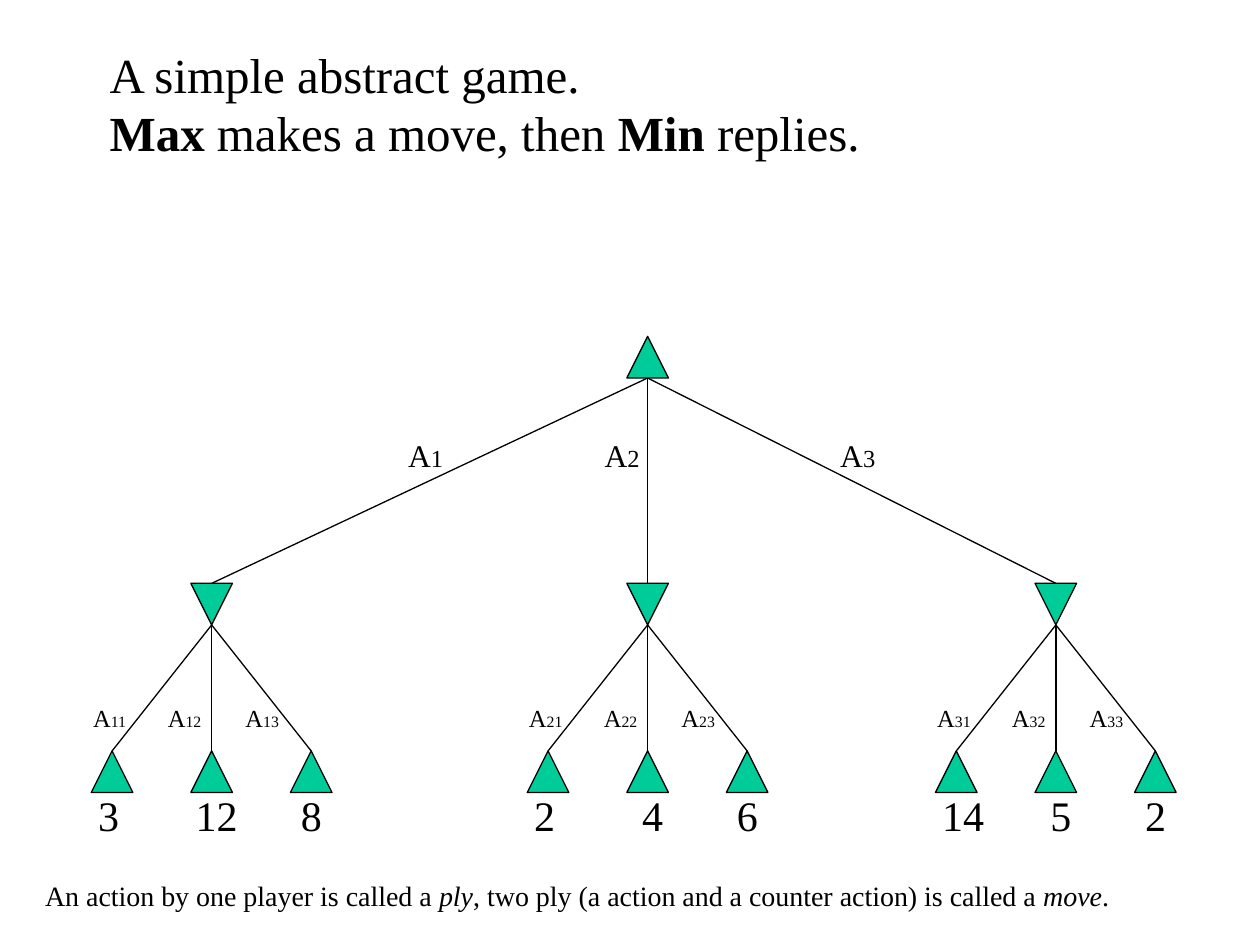
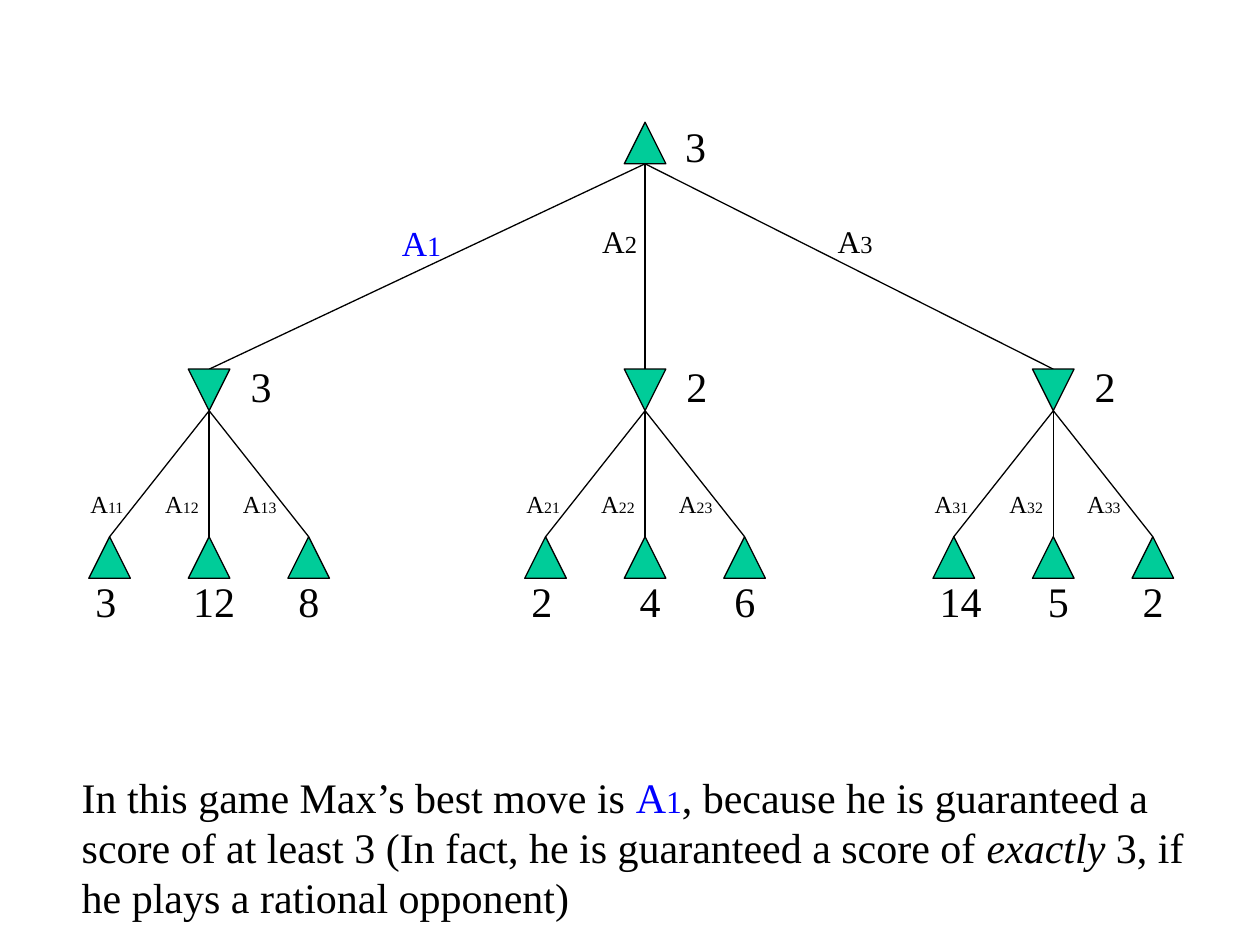
from dataclasses import dataclass

from lxml import etree
from pptx import Presentation
from pptx.dml.color import RGBColor
from pptx.enum.shapes import MSO_CONNECTOR as CONN, MSO_SHAPE as SHAPE
from pptx.enum.text import MSO_ANCHOR as ANCHOR, MSO_AUTO_SIZE as AUTO, PP_ALIGN as ALIGN
from pptx.oxml.ns import qn
from pptx.util import Inches, Pt

# Shared look
FONT = "Times New Roman"
BLACK, GREEN, BLUE = "000000", "00CC99", "0000FF"
NODE = 0.33
LINE_WIDTH = 0.75
DIGIT_WIDTHS = {1: 0.37, 2: 0.53}

# Tree levels below the top of the root, and offsets from a node's centre
MIN_TOP, LEAF_TOP = 1.96, 3.29
MOVE_TOP, REPLY_TOP, VALUE_TOP = 0.74, 2.86, 3.55
LEAF_GAP = 0.79
REPLY_LEFTS = (-1.04, -0.45, 0.17)
VALUE_LEFTS = (-1.0, None, 0.61)  # the middle value is centred instead
MIDDLE_VALUE_CENTRE = 0.04


@dataclass(frozen=True)
class Run:
    text: str
    size: float | None = None
    color: str | None = None
    bold: bool | None = None
    italic: bool | None = None


@dataclass(frozen=True)
class Branch:
    offset: float
    label_left: float
    values: tuple[int, int, int]


@dataclass(frozen=True)
class Tree:
    x: float
    top: float
    solved: bool = False


BRANCHES = (
    Branch(-3.46, -2.0, (3, 12, 8)),
    Branch(0, -0.44, (2, 4, 6)),
    Branch(3.24, 1.43, (14, 5, 2)),
)


def rgb(color: str) -> RGBColor:
    return RGBColor.from_string(color)


def write(tf, paragraphs: list[list[Run]], size: float, color: str = BLACK,
          align=ALIGN.LEFT, wrap: bool = False) -> None:
    tf.word_wrap = wrap
    tf.auto_size = AUTO.SHAPE_TO_FIT_TEXT
    tf.vertical_anchor = ANCHOR.TOP
    for i, runs in enumerate(paragraphs):
        p = tf.add_paragraph() if i else tf.paragraphs[0]
        p.alignment = align
        p.font.name, p.font.size = FONT, Pt(size)
        p.font.color.rgb = rgb(color)
        for run in runs:
            r = p.add_run()
            r.text = run.text
            r.font.bold, r.font.italic = run.bold, run.italic
            if run.size:
                r.font.size = Pt(run.size)
            if run.color:
                r.font.color.rgb = rgb(run.color)


def add_text(slide, left: float, top: float, width: float, height: float,
             runs: list[Run], size: float, **style) -> None:
    s = slide.shapes.add_textbox(Inches(left), Inches(top), Inches(width), Inches(height))
    write(s.text_frame, [runs], size, **style)


def add_number(slide, left: float, top: float, value: int, align=ALIGN.LEFT) -> None:
    text = str(value)
    add_text(slide, left, top, DIGIT_WIDTHS[len(text)], 0.5, [Run(text)], 24, align=align)


def add_node(slide, x: float, top: float, flip: bool = False):
    s = slide.shapes.add_shape(SHAPE.ISOSCELES_TRIANGLE, Inches(x - NODE / 2), Inches(top),
                               Inches(NODE), Inches(NODE))
    s.shadow.inherit = False
    s.fill.solid()
    s.fill.fore_color.rgb = rgb(GREEN)
    s.line.color.rgb = rgb(BLACK)
    s.line.width = Pt(LINE_WIDTH)
    if flip:
        s._element.spPr.xfrm.set("flipV", "1")
    return s


def add_edge(slide, x1: float, y1: float, x2: float, y2: float):
    s = slide.shapes.add_connector(CONN.STRAIGHT, Inches(x1), Inches(y1), Inches(x2), Inches(y2))
    s.line.color.rgb = rgb(BLACK)
    s.line.width = Pt(LINE_WIDTH)
    etree.SubElement(s._element.spPr, qn("a:effectLst"))
    return s


def add_branch(slide, tree: Tree, number: int, branch: Branch) -> None:
    x, top = tree.x + branch.offset, tree.top

    # Max's move down to the Min node
    add_edge(slide, tree.x, top + NODE, x, top + MIN_TOP)
    add_node(slide, x, top + MIN_TOP, flip=True)
    best = tree.solved and number == 1
    size, sub, color, width, height = (20, 16, BLUE, 0.52, 0.44) if best else (
        18, 14, BLACK, 0.48, 0.4)
    label_left = tree.x + branch.label_left - (0.03 if best else 0)
    add_text(slide, label_left, top + MOVE_TOP, width, height,
             [Run("A", size), Run(str(number), sub)], size, color=color)
    if tree.solved:
        add_number(slide, x + 0.23, top + MIN_TOP - 0.12, min(branch.values))

    # Min's replies with their outcomes
    for i, value in enumerate(branch.values):
        middle = i == 1
        align = ALIGN.CENTER if middle else ALIGN.LEFT
        leaf_x = x + (i - 1) * LEAF_GAP
        leaf = add_node(slide, leaf_x, top + LEAF_TOP)
        edge = add_edge(slide, x, top + MIN_TOP + NODE, leaf_x, top + LEAF_TOP)
        edge.end_connect(leaf, 0)
        add_text(slide, x + REPLY_LEFTS[i], top + REPLY_TOP, 0.47, 0.33,
                 [Run("A", 14), Run(f"{number}{i + 1}", 9)], 14, align=align)
        left = (MIDDLE_VALUE_CENTRE - DIGIT_WIDTHS[len(str(value))] / 2 if middle
                else VALUE_LEFTS[i])
        add_number(slide, x + left, top + VALUE_TOP, value, align)


def add_tree(slide, tree: Tree) -> None:
    for number, branch in enumerate(BRANCHES, 1):
        add_branch(slide, tree, number, branch)
    add_node(slide, tree.x, tree.top)
    if tree.solved:
        best_score = max(min(branch.values) for branch in BRANCHES)
        add_number(slide, tree.x + 0.22, tree.top - 0.06, best_score)


def build_game_slide(prs) -> None:
    slide = prs.slides.add_slide(prs.slide_layouts[5])
    s = slide.shapes.title
    s.left, s.top, s.width, s.height = Inches(0.77), Inches(0.3), Inches(6.31), Inches(1.04)
    write(s.text_frame, [
        [Run("A simple abstract game.")],
        [Run("Max", bold=True), Run(" makes a move, then "),
         Run("Min", bold=True), Run(" replies.")],
    ], 28)
    add_tree(slide, Tree(5.14, 2.67))
    add_text(slide, 0.26, 6.92, 8.96, 0.37, [
        Run("An action by one player is called a "),
        Run("ply", italic=True),
        Run(", two ply (a action and a counter action) is called a "),
        Run("move", italic=True),
        Run("."),
    ], 16, wrap=True)


def build_solution_slide(prs) -> None:
    slide = prs.slides.add_slide(prs.slide_layouts[6])
    add_tree(slide, Tree(5.12, 0.97, solved=True))
    add_text(slide, 0.55, 6.07, 9.18, 1.31, [
        Run("In this game Max’s best move is "),
        Run("A", color=BLUE),
        Run("1", 18, BLUE),
        Run(", because he is guaranteed a score of at least 3 "
            "(In fact, he is guaranteed a score of "),
        Run("exactly", italic=True),
        Run(" 3, if he plays a rational opponent)"),
    ], 24, wrap=True)


def main() -> None:
    prs = Presentation()
    prs.slide_width, prs.slide_height = Inches(10), Inches(7.5)
    build_game_slide(prs)
    build_solution_slide(prs)
    prs.save("out.pptx")


if __name__ == "__main__":
    main()
